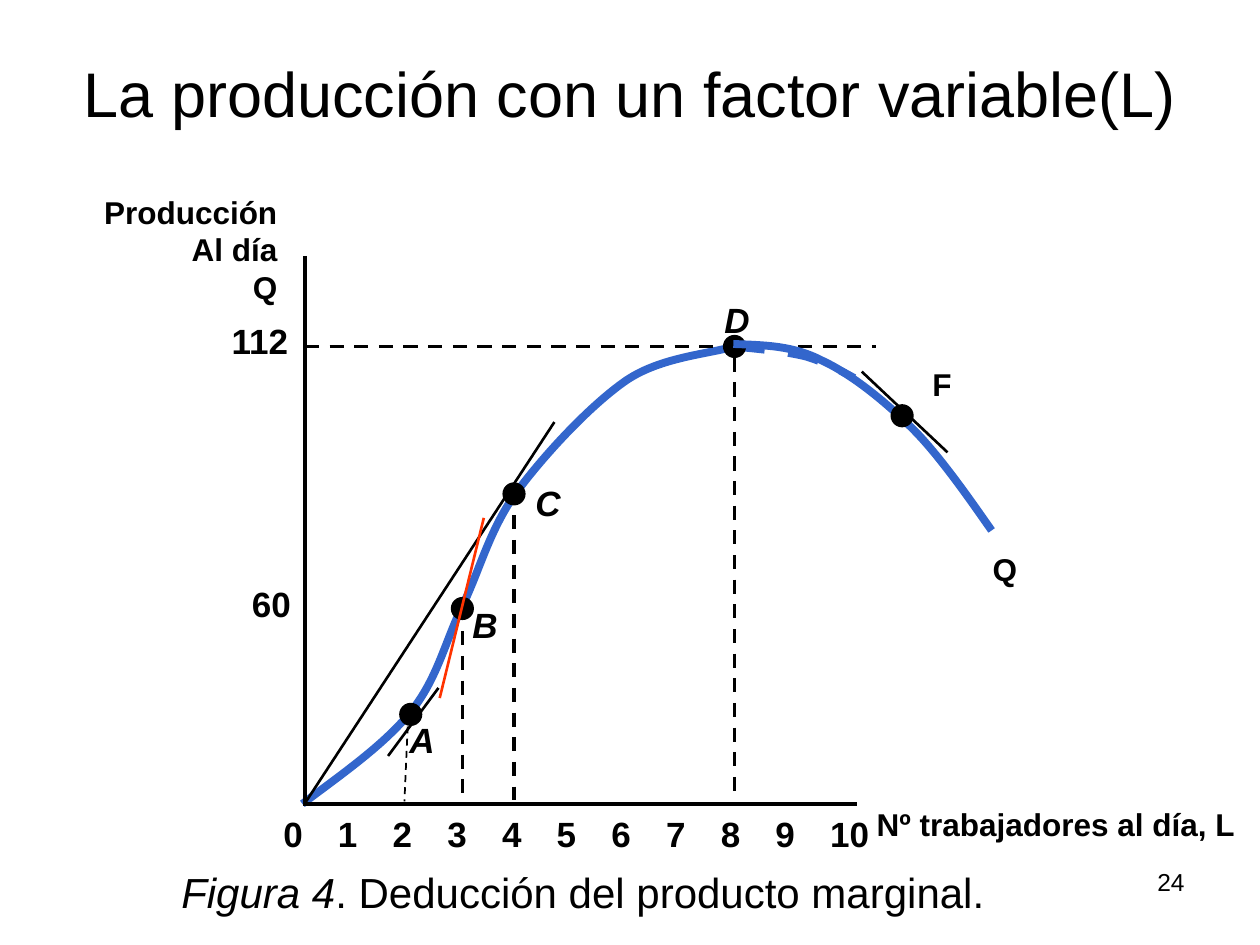
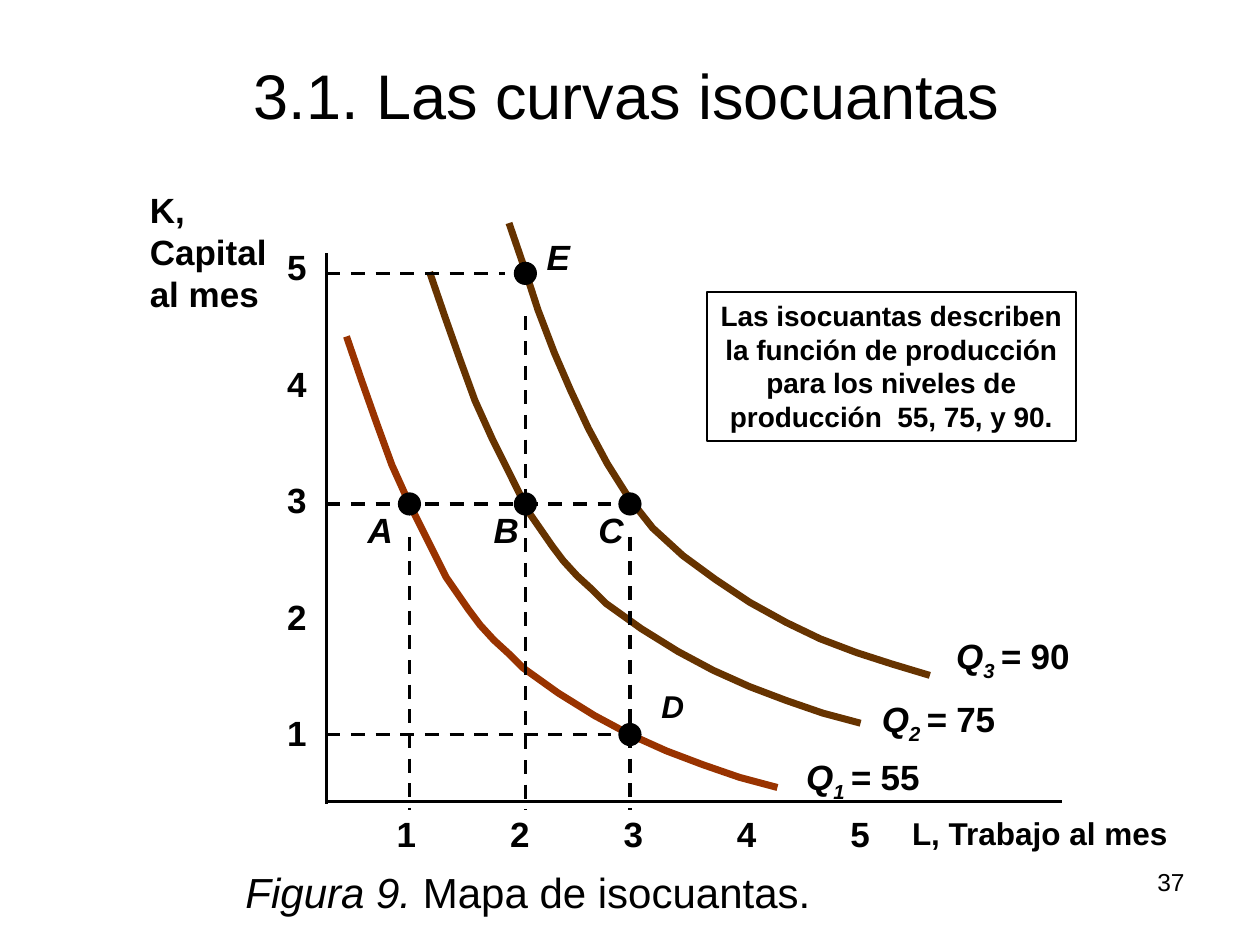
from dataclasses import dataclass

from pptx import Presentation
from pptx.dml.color import RGBColor
from pptx.enum.dml import MSO_LINE
from pptx.enum.shapes import MSO_CONNECTOR, MSO_SHAPE
from pptx.enum.text import MSO_ANCHOR, PP_ALIGN
from pptx.oxml.ns import qn
from pptx.oxml.xmlchemy import OxmlElement
from pptx.util import Inches, Pt

FONT = "Arial"
BLACK = "000000"
BLUE = "3366CC"
RED = "FF3300"
BROWN = "663300"
RUST = "993300"
DASH = MSO_LINE.DASH
STRAIGHT = MSO_CONNECTOR.STRAIGHT
OVAL = MSO_SHAPE.OVAL
LEFT, CENTER, RIGHT = PP_ALIGN.LEFT, PP_ALIGN.CENTER, PP_ALIGN.RIGHT
TOP, BOTTOM = MSO_ANCHOR.TOP, MSO_ANCHOR.BOTTOM
DOT = 0.17
TICK = (0.35, 0.43)
LETTER = (0.4, 0.43)


@dataclass
class Plot:
    slide: object
    left: float
    top: float
    width: float
    height: float

    def at(self, across, up):
        return Inches(self.left + across), Inches(self.top + self.height - up)


def rgb(value):
    return RGBColor.from_string(value)


def style_line(line, color, width, dash=None):
    line.color.rgb = rgb(color)
    line.width = Pt(width)
    if dash:
        line.dash_style = dash


def write(slide, text, left, top, size, points=20, bold=True, italic=False,
          align=LEFT, anchor=TOP, wrap=False, border=None):
    width, height = size
    label = slide.shapes.add_textbox(left, top, Inches(width), Inches(height))
    frame = label.text_frame
    frame.word_wrap = wrap
    frame.vertical_anchor = anchor
    if border:
        style_line(label.line, border, 1)
    lines = text.split("\n") if isinstance(text, str) else [text]
    for index, content in enumerate(lines):
        paragraph = frame.paragraphs[0] if index == 0 else frame.add_paragraph()
        paragraph.alignment = align
        pieces = [(content, italic, 0)] if isinstance(content, str) else content
        for words, slanted, baseline in pieces:
            run = paragraph.add_run()
            run.text = words
            run.font.name = FONT
            run.font.size = Pt(points)
            run.font.bold = bold
            run.font.italic = slanted
            run.font.color.rgb = rgb(BLACK)
            if baseline:
                run.font._element.set("baseline", str(baseline * 1000))


def label(plot, text, across, up, size=LETTER, **style):
    write(plot.slide, text, *plot.at(across, up), size, **style)


def segment(plot, start, end, color=BLACK, width=2, dash=None):
    connector = plot.slide.shapes.add_connector(
        STRAIGHT, *plot.at(*start), *plot.at(*end))
    style_line(connector.line, color, width, dash)
    connector._element.spPr.append(OxmlElement("a:effectLst"))


def dot(plot, across, up):
    marker = plot.slide.shapes.add_shape(
        OVAL, *plot.at(across - DOT / 2, up + DOT / 2), Inches(DOT), Inches(DOT))
    marker.shadow.inherit = False
    marker.fill.solid()
    marker.fill.fore_color.rgb = rgb(BLACK)
    style_line(marker.line, BLACK, 1)


def curve(plot, points, color, width, dash=None, smooth=False):
    start, *rest = [plot.at(*point) for point in points]
    builder = plot.slide.shapes.build_freeform(*start, scale=1.0)
    builder.add_line_segments(rest, close=False)
    outline = builder.convert_to_shape()
    outline.shadow.inherit = False
    outline.fill.background()
    style_line(outline.line, color, width, dash)
    if smooth:
        bend(outline)


def bend(outline):
    steps = list(outline._element.iter(qn("a:lnTo")))
    for first in range(0, len(steps), 3):
        bezier = OxmlElement("a:cubicBezTo")
        steps[first].addprevious(bezier)
        for step in steps[first:first + 3]:
            bezier.append(step[0])
            step.getparent().remove(step)


def axes(plot):
    segment(plot, (0, plot.height), (0, -0.02))
    segment(plot, (0, 0), (plot.width, 0))


def page(deck, title, title_box, figure, caption, caption_box, number):
    slide = deck.slides.add_slide(deck.slide_layouts[6])
    left, top, *size = title_box
    write(slide, title, Inches(left), Inches(top), size, points=36, bold=False,
          align=CENTER, anchor=BOTTOM, wrap=True)
    left, width = caption_box
    write(slide, [(figure, True, 0), (caption, False, 0)], Inches(left), Inches(6.83),
          (width, 0.52), points=24, bold=False, wrap=True)
    write(slide, number, Inches(7.17), Inches(6.83), (2.33, 0.52), points=14,
          bold=False, align=RIGHT, wrap=True)
    return slide


def production_plot(plot):
    peak = 3.63
    growth = [(-0.02, 0), (0.3, 0.24), (0.63, 0.47), (0.84, 0.73),
              (1.05, 0.99), (1.11, 1.28), (1.25, 1.57),
              (1.39, 1.86), (1.46, 2.16), (1.67, 2.46),
              (1.89, 2.76), (2.26, 3.16), (2.55, 3.36),
              (2.83, 3.55), (3.22, 3.57), (3.4, peak)]
    projection = [(3.4, peak), (3.61, 3.61), (3.82, 3.59), (3.98, 3.55),
                  (4.14, 3.5), (4.25, 3.44), (4.36, 3.38)]
    decline = [(3.4, 3.65), (3.64, 3.64), (3.87, 3.64), (4.1, 3.52),
               (4.34, 3.41), (4.61, 3.19), (4.83, 2.97),
               (5.06, 2.74), (5.35, 2.31), (5.45, 2.17)]
    curve(plot, projection, BLUE, 4.5, DASH, smooth=True)
    curve(plot, growth, BLUE, 4.5, smooth=True)

    segment(plot, (0, peak), (4.53, peak), dash=DASH)
    for across, up in [(1.25, 1.37), (1.66, 2.29), (3.41, 3.54)]:
        segment(plot, (across, up), (across, 0.03), dash=DASH)
    axes(plot)

    label(plot, "Producción\nAl día\nQ", -1.71, 4.9, (1.59, 1.01), points=18, align=RIGHT)
    label(plot, "Nº trabajadores al día, L", 4.44, 0.04, (3.04, 0.4), points=18)
    label(plot, "60", -0.52, 1.81, (0.51, 0.43))
    label(plot, "112", -0.68, 3.89, (0.66, 0.43))
    for workers in range(11):
        size = TICK if workers < 10 else (0.51, 0.43)
        label(plot, str(workers), -0.27 + 0.434 * workers, -0.02, size)

    for across, up in [(0.84, 0.71), (1.25, 1.55), (1.66, 2.46), (3.41, peak)]:
        dot(plot, across, up)
    for letter, across, up in [("A", 0.73, 0.73), ("B", 1.23, 1.64),
                               ("C", 1.73, 2.61), ("D", 3.23, 4.06)]:
        label(plot, letter, across, up, italic=True)

    segment(plot, (0.66, 0.38), (1.06, 0.92), width=1.5)
    segment(plot, (0.01, 0.02), (1.98, 3.03), width=1.5)
    curve(plot, decline, BLUE, 4.5, smooth=True)
    segment(plot, (4.42, 3.43), (5.1, 2.79), width=1.5)
    segment(plot, (0.82, 0.71), (0.79, 0.02), width=1, dash=DASH)
    label(plot, "F", 4.88, 3.53, (0.35, 0.4), points=18, align=CENTER)
    label(plot, "Q", 5.36, 2.06, (0.39, 0.4), points=18)
    dot(plot, 4.74, 3.08)
    segment(plot, (1.07, 0.84), (1.42, 2.27), RED, 1.5)


def isoquant_plot(plot):
    low = [(0, 0), (0.12, 0.35), (0.24, 0.69), (0.36, 1.02), (0.5, 1.33),
           (0.65, 1.63), (0.79, 1.91), (0.97, 2.17), (1.06, 2.29), (1.17, 2.41),
           (1.29, 2.52), (1.4, 2.63), (1.68, 2.83), (1.97, 3.01), (2.25, 3.16),
           (2.54, 3.29), (2.83, 3.4), (3.12, 3.5), (3.42, 3.58)]
    high = [(0, 0), (0.12, 0.35), (0.23, 0.69), (0.36, 1.03), (0.49, 1.33),
            (0.63, 1.63), (0.78, 1.91), (0.95, 2.18), (1.14, 2.42), (1.38, 2.64),
            (1.64, 2.83), (1.91, 3.01), (2.2, 3.17), (2.47, 3.3), (2.76, 3.41),
            (3.04, 3.5), (3.34, 3.59)]
    isoquants = [("1 ", "55", low, (0.16, 3.69), RUST, (3.71, 0.41)),
                 ("2 ", "75", low, (0.82, 4.2), BROWN, (4.31, 0.87)),
                 ("3 ", "90", high, (1.45, 4.59), BROWN, (4.9, 1.37))]
    for index, output, drops, (across, up), color, place in isoquants:
        curve(plot, [(across + dx, up - dy) for dx, dy in drops], color, 4)
        name = [("Q", True, 0), (index, True, -25), ("= ", True, 0), (output, False, 0)]
        label(plot, name, *place, (1.11, 0.43))
    axes(plot)

    one, two, three = 0.66, 1.58, 2.41
    low_capital, mid_capital, high_capital = 0.53, 2.36, 4.19
    for end, up in [(2.26, mid_capital), (2.26, low_capital), (1.42, high_capital)]:
        segment(plot, (0, up), (end, up), dash=DASH)
    for across, start in [(one, 2.1), (two, 3.85), (three, 2.1)]:
        segment(plot, (across, start), (across, -0.07), dash=DASH)
    for across, up in [(one, mid_capital), (two, mid_capital), (three, mid_capital),
                       (three, low_capital), (two, high_capital)]:
        dot(plot, across, up)
    for letter, across, up, points in [("A", 0.23, 2.37, 20), ("B", 1.23, 2.37, 20),
                                       ("C", 2.06, 2.37, 20), ("D", 2.56, 0.96, 18),
                                       ("E", 1.65, 4.54, 20)]:
        label(plot, letter, across, up, points=points, italic=True)

    for step in range(5):
        label(plot, str(step + 1), 0.46 + 0.9 * step, -0.04, TICK)
        label(plot, str(step + 1), -0.41, 0.76 + 0.925 * step, TICK)
    label(plot, "K, Capital\nal mes", -1.5, 4.91, (1.25, 1.1), wrap=True)
    label(plot, "L, Trabajo al mes", 4.55, -0.05, (2.24, 0.4), points=18)
    label(plot, "Las isocuantas describen\nla función de producción\n"
          "para los niveles de\nproducción  55, 75, y 90.", 3.02, 4.04, (2.93, 1.18),
          points=16, align=CENTER, border=BLACK)


deck = Presentation()
deck.slide_width = Inches(10)
deck.slide_height = Inches(7.5)

production = page(deck, "La producción con un factor variable(L)", (0, 0.23, 10, 0.85),
                  "Figura 4", ". Deducción del producto marginal.", (1.34, 6.92), "24")
production_plot(Plot(production, 2.42, 2.03, 4.38, 4.35))

isoquants_page = page(deck, "3.1. Las curvas isocuantas", (0.27, 0.25, 9.41, 0.85),
                      "Figura 9.", " Mapa de isocuantas.", (1.85, 4.74), "37")
isoquant_plot(Plot(isoquants_page, 2.59, 2.01, 5.84, 4.35))

deck.save("out.pptx")
